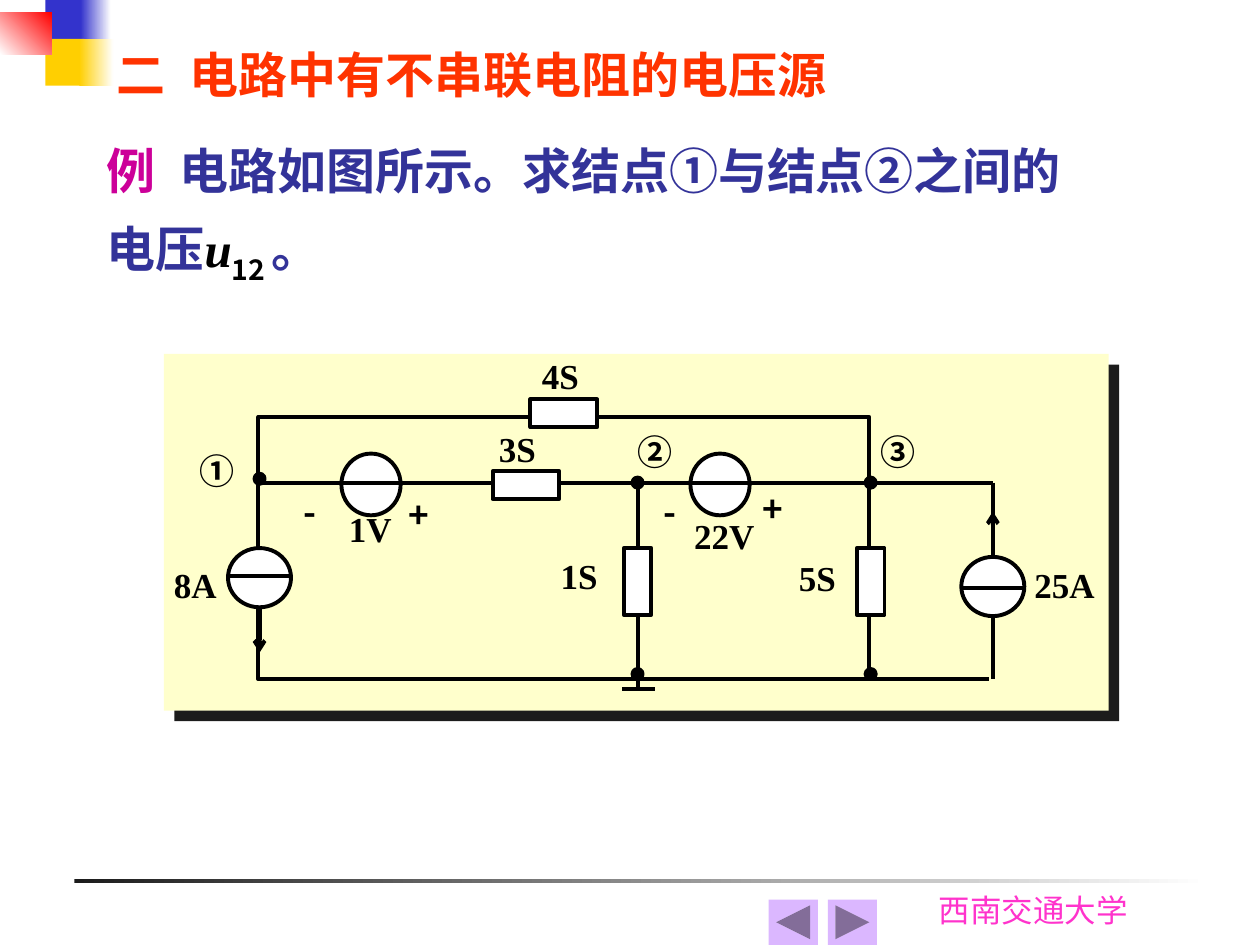
"""Build a slide that poses a circuit problem with voltage sources without series resistance."""
from dataclasses import dataclass
from typing import Optional

from lxml import etree
from pptx import Presentation
from pptx.dml.color import RGBColor
from pptx.enum.shapes import MSO_CONNECTOR, MSO_SHAPE
from pptx.enum.text import MSO_ANCHOR, PP_ALIGN
from pptx.oxml.ns import qn
from pptx.util import Pt

PX = 9144
RECT, OVAL = MSO_SHAPE.RECTANGLE, MSO_SHAPE.OVAL
BACK = MSO_SHAPE.ACTION_BUTTON_BACK_OR_PREVIOUS
FORWARD = MSO_SHAPE.ACTION_BUTTON_FORWARD_OR_NEXT
STRAIGHT = MSO_CONNECTOR.STRAIGHT
TOP, MIDDLE = MSO_ANCHOR.TOP, MSO_ANCHOR.MIDDLE
LEFT, JUSTIFY = PP_ALIGN.LEFT, PP_ALIGN.JUSTIFY

BLACK = RGBColor(0x00, 0x00, 0x00)
WHITE = RGBColor(0xFF, 0xFF, 0xFF)
INK = RGBColor(0x1C, 0x1C, 0x1C)
BLUE = RGBColor(0x33, 0x33, 0xCC)
GOLD = RGBColor(0xFF, 0xCF, 0x01)
RED = RGBColor(0xFF, 0x00, 0x00)
CREAM = RGBColor(0xFF, 0xFF, 0xCC)
LILAC = RGBColor(0xDB, 0xB7, 0xFF)
ORANGE = RGBColor(0xFF, 0x33, 0x00)
MAGENTA = RGBColor(0xCC, 0x00, 0x99)
INDIGO = RGBColor(0x33, 0x33, 0x99)
PINK = RGBColor(0xFF, 0x33, 0xCC)

SERIF, SANS, CJK = "Times New Roman", "Roboto", "Noto Sans CJK SC"
LINE_WIDTH = Pt(2.25)
DOT = 8


@dataclass
class Block:
    x: int
    y: int
    w: int
    h: int
    fill: Optional[RGBColor] = WHITE
    fade_to: Optional[RGBColor] = None
    angle: int = 0
    outlined: bool = False
    kind: int = RECT


@dataclass
class Wire:
    x1: int
    y1: int
    x2: int
    y2: int
    arrow: bool = False


@dataclass
class Span:
    text: str
    font: str
    color: RGBColor = BLACK
    size: int = 28
    bold: bool = True
    italic: bool = False
    subscript: bool = False


@dataclass
class Label:
    text: str
    x: int
    y: int
    font: str = SERIF
    w: int = 67
    h: int = 50


DECOR = [
    Block(59, 698, 900, 3, INK, WHITE),
    Block(36, 0, 32, 37, BLUE), Block(64, 0, 24, 37, BLUE, WHITE),
    Block(36, 31, 31, 37, GOLD), Block(63, 31, 27, 37, GOLD, WHITE),
    Block(0, 10, 41, 33, WHITE, RED, 45),
]
VOLTAGE_SOURCES = [Block(x, 360, 47, 49, outlined=True, kind=OVAL) for x in (271, 548)]
LOOP = Block(205, 331, 485, 208, None, outlined=True)
WIRES = [
    Wire(206, 383, 788, 383), Wire(506, 383, 506, 547), Wire(788, 383, 788, 539),
    Wire(688, 539, 785, 539), Wire(494, 547, 520, 547),
]
CURRENT_SOURCES = [Block(x, y, 50, 47, outlined=True, kind=OVAL)
                   for x, y in ((763, 442), (181, 435))]
SOURCE_WIRES = [
    Wire(763, 467, 813, 467), Wire(788, 442, 788, 406, True),
    Wire(181, 457, 231, 457), Wire(206, 482, 206, 518, True),
]
RESISTORS = [Block(x, y, w, h, outlined=True) for x, y, w, h in (
    (421, 317, 53, 22), (391, 374, 53, 22), (495, 435, 22, 53), (680, 435, 22, 53))]
NODES = [Block(x, y, DOT, DOT, BLACK, outlined=True, kind=OVAL) for x, y in (
    (687, 379), (502, 379), (202, 376), (687, 531), (502, 531))]
BUTTONS = [Block(610, 714, 39, 36, LILAC, kind=BACK), Block(657, 714, 39, 36, LILAC, kind=FORWARD)]

LABELS = [
    Label("25A", 821, 447), Label("8A", 138, 447),
    Label("4S", 430, 281), Label("3S", 396, 339), Label("1S", 445, 440), Label("5S", 634, 442),
    Label("1V", 277, 403), Label("22V", 551, 408),
    Label("①", 158, 357, CJK), Label("②", 506, 342, CJK), Label("③", 699, 342, CJK),
    Label("+", 324, 392, CJK), Label("+", 605, 387, CJK),
    Label("-", 527, 389, CJK), Label("-", 241, 389, CJK),
]
TITLE = [Span("二\t电路中有不串联电阻的电压源", SANS, ORANGE)]
PROBLEM = [
    Span("例\t", SERIF, MAGENTA), Span("电路如图所示。", SERIF, INDIGO),
    Span("求", CJK, INDIGO), Span("结", SERIF, INDIGO), Span("点①与", CJK, INDIGO),
    Span("结", SERIF, INDIGO), Span("点②之间的电压", CJK, INDIGO),
    Span("u", SERIF, italic=True), Span("12 ", CJK, subscript=True), Span("。", CJK, INDIGO),
]


def add_block(s, b: Block):
    sp = s.shapes.add_shape(b.kind, b.x * PX, b.y * PX, b.w * PX, b.h * PX)
    sp.shadow.inherit = False
    if b.fill is None:
        sp.fill.background()
    elif b.fade_to is None:
        sp.fill.solid()
        sp.fill.fore_color.rgb = b.fill
    else:
        sp.fill.gradient()
        sp.fill.gradient_angle = b.angle
        for stop, color in zip(sp.fill.gradient_stops, (b.fill, b.fade_to)):
            stop.color.rgb = color
    if b.outlined:
        sp.line.color.rgb = BLACK
        sp.line.width = LINE_WIDTH
    else:
        sp.line.fill.background()
    return sp


def add_panel(s) -> None:
    sp = add_block(s, Block(130, 281, 750, 283, CREAM))
    effects = sp._element.spPr.find(qn("a:effectLst"))
    shadow = etree.SubElement(effects, qn("a:outerShdw"), dist=str(Pt(8.5)), dir="2700000",
                              algn="ctr", rotWithShape="0")
    etree.SubElement(shadow, qn("a:srgbClr"), val=str(INK))


def add_wire(s, w: Wire) -> None:
    c = s.shapes.add_connector(STRAIGHT, w.x1 * PX, w.y1 * PX, w.x2 * PX, w.y2 * PX)
    c.line.color.rgb = BLACK
    c.line.width = LINE_WIDTH
    if w.arrow:
        etree.SubElement(c.line._get_or_add_ln(), qn("a:tailEnd"), type="arrow")
    etree.SubElement(c._element.spPr, qn("a:effectLst"))


def add_text(s, x: int, y: int, w: int, h: int, spans: list[Span], anchor=MIDDLE,
             align=LEFT, inset: tuple[int, int] = (10, 5), tab: int = 0, spacing: float = 1.0) -> None:
    tf = s.shapes.add_textbox(x * PX, y * PX, w * PX, h * PX).text_frame
    dx, dy = (v * PX for v in inset)
    frame = dict(word_wrap=True, vertical_anchor=anchor, margin_left=dx, margin_right=dx,
                 margin_top=dy, margin_bottom=dy)
    for name, value in frame.items():
        setattr(tf, name, value)
    p = tf.paragraphs[0]
    if tab:
        tabs = etree.SubElement(p._p.get_or_add_pPr(), qn("a:tabLst"))
        etree.SubElement(tabs, qn("a:tab"), pos=str(tab * PX), algn="l")
    p.alignment, p.line_spacing = align, spacing
    for span in spans:
        r = p.add_run()
        r.text = span.text
        style = dict(name=span.font, size=Pt(span.size), bold=span.bold, italic=span.italic)
        for name, value in style.items():
            setattr(r.font, name, value)
        r.font.color.rgb = span.color
        rPr = r._r.get_or_add_rPr()
        etree.SubElement(rPr, qn("a:ea"), typeface=CJK)
        if span.subscript:
            rPr.set("baseline", "-25000")


def main() -> None:
    prs = Presentation()
    prs.slide_width, prs.slide_height = 1000 * PX, 750 * PX
    s = prs.slides.add_slide(prs.slide_layouts[6])
    for block in DECOR:
        add_block(s, block)
    add_text(s, 735, 702, 181, 40, [Span("西南交通大学", SANS, PINK, 18, False)], TOP)
    add_panel(s)
    add_text(s, 83, 25, 850, 67, TITLE, tab=58)
    add_text(s, 75, 91, 800, 142, PROBLEM, tab=58, spacing=1.3)
    for block in VOLTAGE_SOURCES + [LOOP]:
        add_block(s, block)
    for wire in WIRES:
        add_wire(s, wire)
    for block in CURRENT_SOURCES:
        add_block(s, block)
    for wire in SOURCE_WIRES:
        add_wire(s, wire)
    for block in RESISTORS + NODES:
        add_block(s, block)
    for n in LABELS:
        add_text(s, n.x, n.y, n.w, n.h, [Span(n.text, n.font, size=20)], TOP, JUSTIFY, (0, 0))
    for block in BUTTONS:
        add_block(s, block)
    prs.save("out.pptx")


if __name__ == "__main__":
    main()
